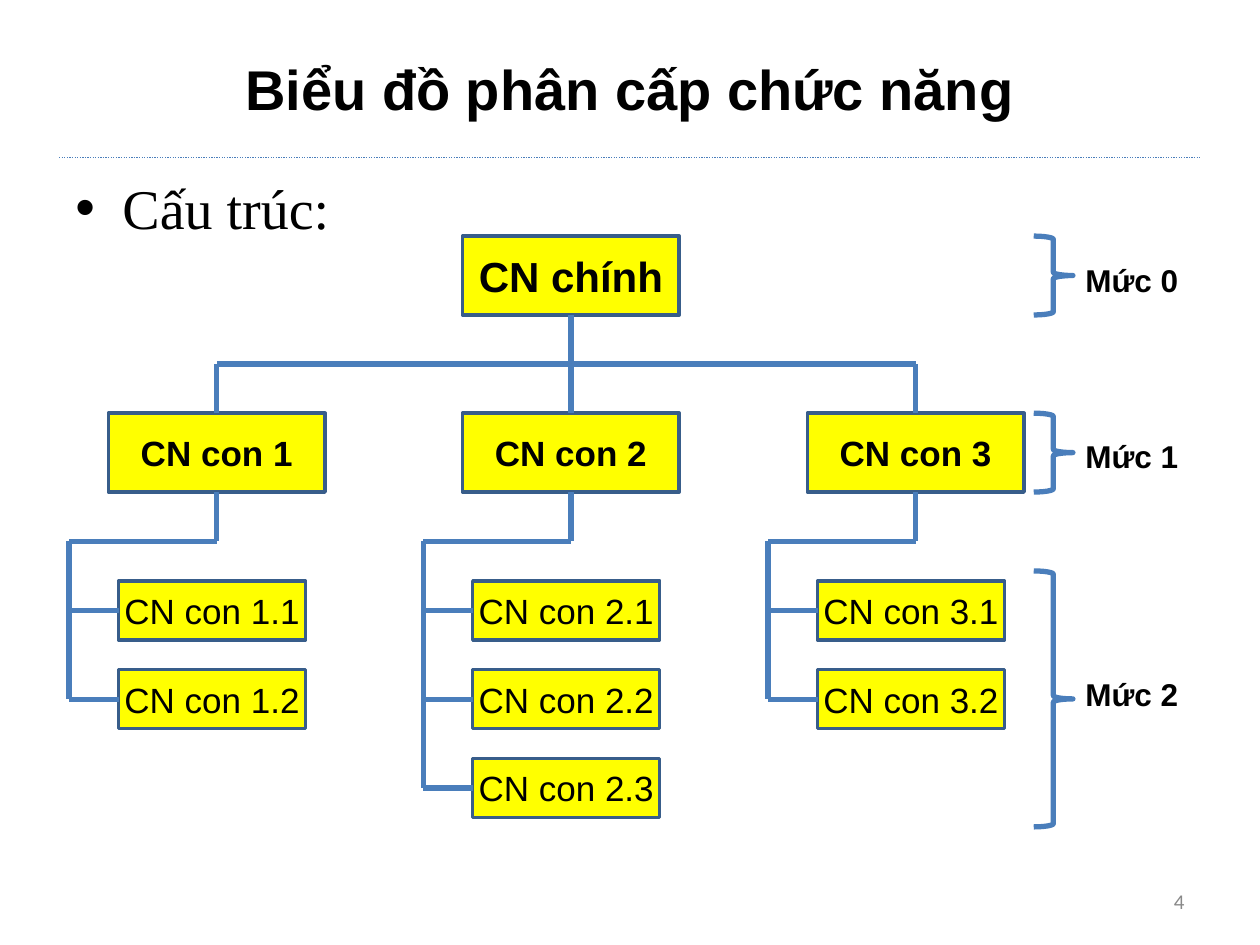
from pptx import Presentation
from pptx.dml.color import RGBColor
from pptx.enum.dml import MSO_LINE
from pptx.enum.shapes import MSO_CONNECTOR, MSO_SHAPE
from pptx.enum.text import MSO_ANCHOR, PP_ALIGN
from pptx.oxml.ns import qn
from pptx.util import Cm, Pt
from lxml import etree

STRAIGHT = MSO_CONNECTOR.STRAIGHT
RECTANGLE, BRACE = MSO_SHAPE.RECTANGLE, MSO_SHAPE.RIGHT_BRACE
MIDDLE, TOP = MSO_ANCHOR.MIDDLE, MSO_ANCHOR.TOP
LEFT, CENTER, RIGHT = PP_ALIGN.LEFT, PP_ALIGN.CENTER, PP_ALIGN.RIGHT
DOTTED = MSO_LINE.ROUND_DOT

COLORS = {"text": "000000", "fill": "FFFF00", "border": "385D8A",
          "line": "4A7EBB", "number": "898989"}

BOX_WIDTH, BOX_HEIGHT = 4.37, 1.59
LEAF_WIDTH, LEAF_HEIGHT, LEAF_STEP = 3.77, 1.19, 1.79
LEAF_OFFSET, TRUNK_OFFSET = 1.98, 2.98
ROOT_TOP, CHILD_TOP, LEAF_TOP = 4.76, 8.33, 11.71
BUS_GAP = 0.99
BRACE_LEFT, BRACE_WIDTH = 20.84, 0.79

BRANCHES = [(4.37, "CN con 1", 2), (11.51, "CN con 2", 3), (18.46, "CN con 3", 2)]
LEVELS = [("Mức 0", ROOT_TOP, BOX_HEIGHT, 5.13),
          ("Mức 1", CHILD_TOP, BOX_HEIGHT, 8.69),
          ("Mức 2", 11.51, 5.16, 13.49)]


class SlideBuilder:
    def __init__(self, page, font="Arial"):
        self.page = page
        self.font = font

    def color(self, name):
        return RGBColor.from_string(COLORS[name])

    def set_text(self, shape, text, size, bold=False, align=LEFT, anchor=TOP,
                 font=None, color="text"):
        frame = shape.text_frame
        frame.word_wrap = True
        frame.vertical_anchor = anchor
        frame.text = text
        para = frame.paragraphs[0]
        para.alignment = align
        for span in para.runs:
            span.font.name = font or self.font
            span.font.size = Pt(size)
            span.font.bold = bold
            span.font.color.rgb = self.color(color)
        return para

    def title(self, text, left, top, width, height):
        title = self.page.shapes.title
        title.left, title.top = Cm(left), Cm(top)
        title.width, title.height = Cm(width), Cm(height)
        self.set_text(title, text, 32, True, CENTER, MIDDLE)

    def text(self, text, left, top, width, height, size, **style):
        box = self.page.shapes.add_textbox(Cm(left), Cm(top), Cm(width), Cm(height))
        return self.set_text(box, text, size, **style)

    def bullet(self, *args, **style):
        para = self.text(*args, **style)
        properties = para._p.get_or_add_pPr()
        properties.set("marL", str(Cm(0.95)))
        properties.set("indent", str(-Cm(0.95)))
        etree.SubElement(properties, qn("a:buFont")).set("typeface", "Arial")
        etree.SubElement(properties, qn("a:buChar")).set("char", "•")

    def box(self, text, left, top, width, height, size, bold):
        box = self.page.shapes.add_shape(RECTANGLE, Cm(left), Cm(top), Cm(width), Cm(height))
        box.shadow.inherit = False
        box.fill.solid()
        box.fill.fore_color.rgb = self.color("fill")
        box.line.color.rgb = self.color("border")
        box.line.width = Pt(2)
        frame = box.text_frame
        frame.margin_left = frame.margin_right = frame.margin_top = frame.margin_bottom = 0
        self.set_text(box, text, size, bold, CENTER, MIDDLE)

    def line(self, x1, y1, x2, y2, width=3, dash=None):
        line = self.page.shapes.add_connector(STRAIGHT, Cm(x1), Cm(y1), Cm(x2), Cm(y2))
        line.line.color.rgb = self.color("line")
        line.line.width = Pt(width)
        if dash:
            line.line.dash_style = dash
        etree.SubElement(line._element.spPr, qn("a:effectLst"))

    def brace(self, left, top, width, height):
        brace = self.page.shapes.add_shape(BRACE, Cm(left), Cm(top), Cm(width), Cm(height))
        brace.shadow.inherit = False
        brace.fill.background()
        brace.line.color.rgb = self.color("line")
        brace.line.width = Pt(3)


def draw_tree(slide):
    centers = [center for center, _, _ in BRANCHES]
    root_bottom = ROOT_TOP + BOX_HEIGHT
    bus = root_bottom + BUS_GAP
    child_bottom = CHILD_TOP + BOX_HEIGHT
    elbow = child_bottom + BUS_GAP

    slide.box("CN chính", centers[1] - BOX_WIDTH / 2, ROOT_TOP, BOX_WIDTH, BOX_HEIGHT, 24, True)
    slide.line(centers[1], root_bottom, centers[1], bus)
    slide.line(centers[0], bus, centers[-1], bus)

    for center, name, count in BRANCHES:
        trunk, leaf_left = center - TRUNK_OFFSET, center - LEAF_OFFSET
        slide.box(name, center - BOX_WIDTH / 2, CHILD_TOP, BOX_WIDTH, BOX_HEIGHT, 20, True)
        slide.line(center, bus, center, CHILD_TOP)
        slide.line(center, child_bottom, center, elbow)
        slide.line(center, elbow, trunk, elbow)
        for index in range(count):
            top = LEAF_TOP + index * LEAF_STEP
            middle = top + LEAF_HEIGHT / 2
            slide.box(f"{name}.{index + 1}", leaf_left, top, LEAF_WIDTH, LEAF_HEIGHT, 20, False)
            slide.line(leaf_left, middle, trunk, middle)
        slide.line(trunk, elbow, trunk, middle)


def main():
    deck = Presentation()
    deck.slide_width, deck.slide_height = Cm(25.4), Cm(19.05)
    slide = SlideBuilder(deck.slides.add_slide(deck.slide_layouts[5]))

    slide.line(1.19, 3.18, 24.21, 3.18, 0.75, DOTTED)
    slide.title("Biểu đồ phân cấp chức năng", 1.27, 0.58, 22.86, 2.41)
    slide.bullet("Cấu trúc:", 1.27, 3.38, 22.86, 13.89, 32, font="Times New Roman")
    draw_tree(slide)
    for name, top, height, label_top in LEVELS:
        slide.brace(BRACE_LEFT, top, BRACE_WIDTH, height)
        slide.text(name, BRACE_LEFT + BRACE_WIDTH, label_top, 2.59, 1.02, 18, bold=True)
    slide.text("4", 18.2, 17.66, 5.93, 1.01, 12, align=RIGHT, anchor=MIDDLE,
               font="Calibri", color="number")
    deck.save("out.pptx")


if __name__ == "__main__":
    main()
